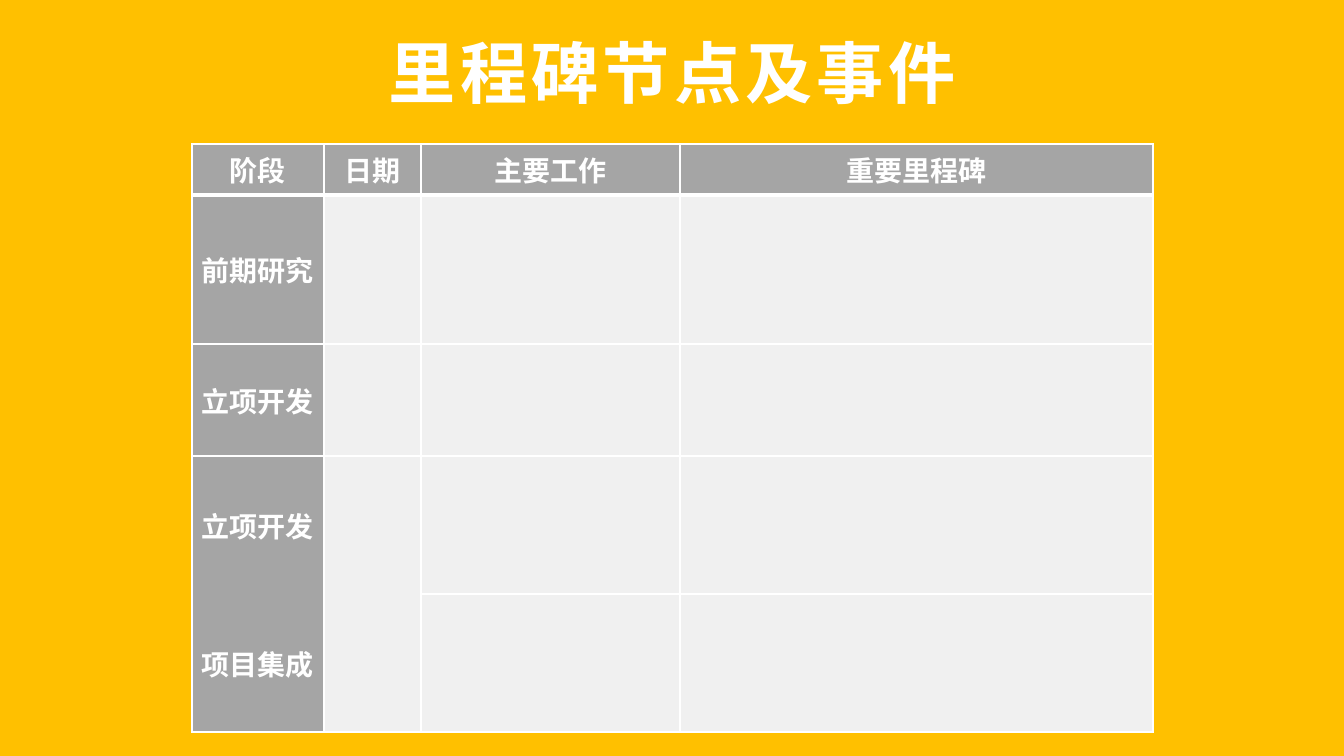
import pptx
import pptx.util
import pptx.dml.color
import pptx.enum.text
import pptx.oxml.ns
import lxml.etree

SCALE = 914400 / 100.8
FONT = "Noto Sans CJK SC"
COLORS = {"gold": "FFC000", "white": "FFFFFF", "header": "A5A5A5", "body": "F0F0F0"}
COLUMN_WIDTHS = [132, 97, 259, 473]
# The flat rows let each column's merged cells end at a different row
ROW_HEIGHTS = [51, 149, 112, 138, 0, 0, 0, 138]
HEADINGS = ["阶段", "日期", "主要工作", "重要里程碑"]
STAGES = ["前期研究", "立项开发", "立项开发", "项目集成"]
FIRST_MERGED_ROW = 3


def px(length):
    return pptx.util.Emu(round(length * SCALE))


def rgb(name):
    return pptx.dml.color.RGBColor.from_string(COLORS[name])


def write_text(frame, text, *, size, color="white", bold=True, spacing=None):
    frame.vertical_anchor = pptx.enum.text.MSO_ANCHOR.MIDDLE
    para = frame.paragraphs[0]
    para.alignment = pptx.enum.text.PP_ALIGN.CENTER
    span = para.add_run()
    span.text = text
    span.font.size = pptx.util.Pt(size)
    span.font.bold = bold
    span.font.name = FONT
    span.font.color.rgb = rgb(color)
    properties = span.font._element
    east_asian = lxml.etree.SubElement(properties, pptx.oxml.ns.qn("a:ea"))
    east_asian.set("typeface", FONT)
    if spacing is not None:
        properties.set("spc", str(spacing * 100))


def add_borders(cell, bottom):
    properties = cell._tc.get_or_add_tcPr()
    widths = {"a:lnL": 1, "a:lnR": 1, "a:lnT": 1, "a:lnB": bottom}
    for index, (tag, width) in enumerate(widths.items()):
        line = lxml.etree.Element(pptx.oxml.ns.qn(tag), w=str(pptx.util.Pt(width)))
        fill = lxml.etree.SubElement(line, pptx.oxml.ns.qn("a:solidFill"))
        lxml.etree.SubElement(fill, pptx.oxml.ns.qn("a:srgbClr"), val=COLORS["white"])
        properties.insert(index, line)


def label_cell(cell, text):
    cell.margin_left = cell.margin_right = px(7)
    cell.margin_top = cell.margin_bottom = 0
    write_text(cell.text_frame, text, size=20)
    cell.vertical_anchor = pptx.enum.text.MSO_ANCHOR.MIDDLE


def add_title(page, left, top, width, height):
    box = page.shapes.add_textbox(px(left), px(top), px(width), px(height))
    box.text_frame.word_wrap = True
    write_text(box.text_frame, "里程碑节点及事件", size=48, spacing=3)


def add_milestone_table(page, left, top):
    row_count, column_count = len(ROW_HEIGHTS), len(COLUMN_WIDTHS)
    table = page.shapes.add_table(
        row_count, column_count, px(left), px(top),
        px(sum(COLUMN_WIDTHS)), px(sum(ROW_HEIGHTS))).table
    for column, width in zip(table.columns, COLUMN_WIDTHS):
        column.width = px(width)
    for row, height in zip(table.rows, ROW_HEIGHTS):
        row.height = px(height)

    # Fills and borders
    for row in range(row_count):
        for column in range(column_count):
            cell = table.cell(row, column)
            cell.fill.solid()
            cell.fill.fore_color.rgb = rgb("header" if row == 0 or column == 0 else "body")
            add_borders(cell, bottom=3 if row == 0 else 1)

    # Each column splits one row lower than the column before it
    for column in range(column_count):
        split = FIRST_MERGED_ROW + column
        for first, last in ((FIRST_MERGED_ROW, split), (split + 1, row_count - 1)):
            if first < last:
                table.cell(first, column).merge(table.cell(last, column))

    # Headings and stage names
    for column, heading in enumerate(HEADINGS):
        label_cell(table.cell(0, column), heading)
    for row, stage in enumerate(STAGES, start=1):
        label_cell(table.cell(row, 0), stage)


deck = pptx.Presentation()
deck.slide_width, deck.slide_height = px(1344), px(756)
page = deck.slides.add_slide(deck.slide_layouts[6])
page.background.fill.solid()
page.background.fill.fore_color.rgb = rgb("gold")
add_title(page, 352, 26, 641, 92)
add_milestone_table(page, 192, 144)
deck.save("out.pptx")
